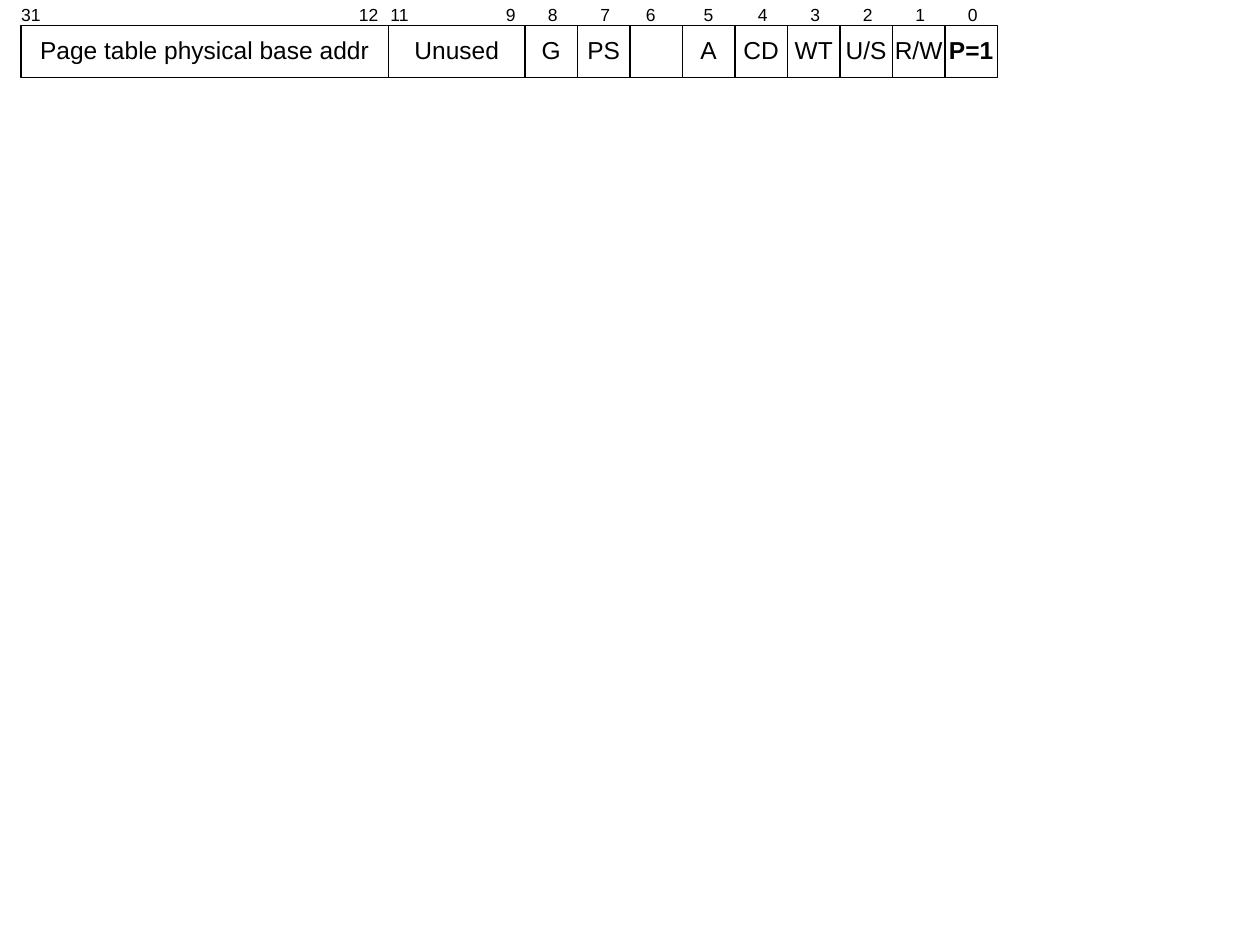
import pptx
import pptx.dml.color
import pptx.enum.shapes
import pptx.enum.text
import pptx.util

Pt = pptx.util.Pt
BLACK = pptx.dml.color.RGBColor(0, 0, 0)
WHITE = pptx.dml.color.RGBColor(255, 255, 255)
ALIGN = pptx.enum.text.PP_ALIGN
ANCHOR = pptx.enum.text.MSO_ANCHOR
AUTO_SIZE = pptx.enum.text.MSO_AUTO_SIZE

LEFT, TOP = 12, 14.4
FIELD_HEIGHT, BIT_WIDTH = 30, 30
FIELDS = [
    ("Page table physical base addr", 210, {"31": -7, "12": 186}),
    ("Unused", 78, {"11": -6, "9": 60}),
    ("G", BIT_WIDTH, {"8": 6}),
    ("PS", BIT_WIDTH, {"7": 6}),
    ("", BIT_WIDTH, {"6": 2}),
    ("A", BIT_WIDTH, {"5": 5}),
    ("CD", BIT_WIDTH, {"4": 6}),
    ("WT", BIT_WIDTH, {"3": 6}),
    ("U/S", BIT_WIDTH, {"2": 6}),
    ("R/W", BIT_WIDTH, {"1": 6}),
    ("P=1", BIT_WIDTH, {"0": 6}),
]


def apply_format(target, values):
    for name, value in values.items():
        setattr(target, name, value)


def write_text(box, text, frame_format, align, font_format):
    frame = box.text_frame
    apply_format(frame, {"word_wrap": False, **frame_format})
    para = frame.paragraphs[0]
    apply_format(para, {"alignment": align, "line_spacing": 0.9})
    if text:
        span = para.add_run()
        span.text = text
        apply_format(span.font, {"name": "Arial", **font_format})
        span.font.color.rgb = BLACK


def add_field(page, text, left, width):
    box = page.shapes.add_shape(
        pptx.enum.shapes.MSO_SHAPE.RECTANGLE,
        Pt(left), Pt(TOP), Pt(width), Pt(FIELD_HEIGHT),
    )
    box.shadow.inherit = False
    box.fill.solid()
    box.fill.fore_color.rgb = WHITE
    box.line.color.rgb = BLACK
    box.line.width = Pt(0.75)
    write_text(
        box, text, {"vertical_anchor": ANCHOR.MIDDLE}, ALIGN.CENTER,
        {"size": Pt(14), "bold": text == "P=1"},
    )


def add_bit_number(page, number, left):
    width = 26 if len(number) == 2 else 20.4
    box = page.shapes.add_textbox(Pt(left), Pt(0), Pt(width), Pt(18))
    write_text(
        box, number, {"auto_size": AUTO_SIZE.SHAPE_TO_FIT_TEXT}, ALIGN.LEFT,
        {"size": Pt(10)},
    )


def main():
    deck = pptx.Presentation()
    apply_format(deck, {"slide_width": Pt(720), "slide_height": Pt(540)})
    page = deck.slides.add_slide(deck.slide_layouts[6])
    left = LEFT
    for text, width, numbers in FIELDS:
        add_field(page, text, left, width)
        left += width
    left = LEFT
    for text, width, numbers in FIELDS:
        for number, offset in numbers.items():
            add_bit_number(page, number, left + offset)
        left += width
    deck.save("out.pptx")


if __name__ == "__main__":
    main()
